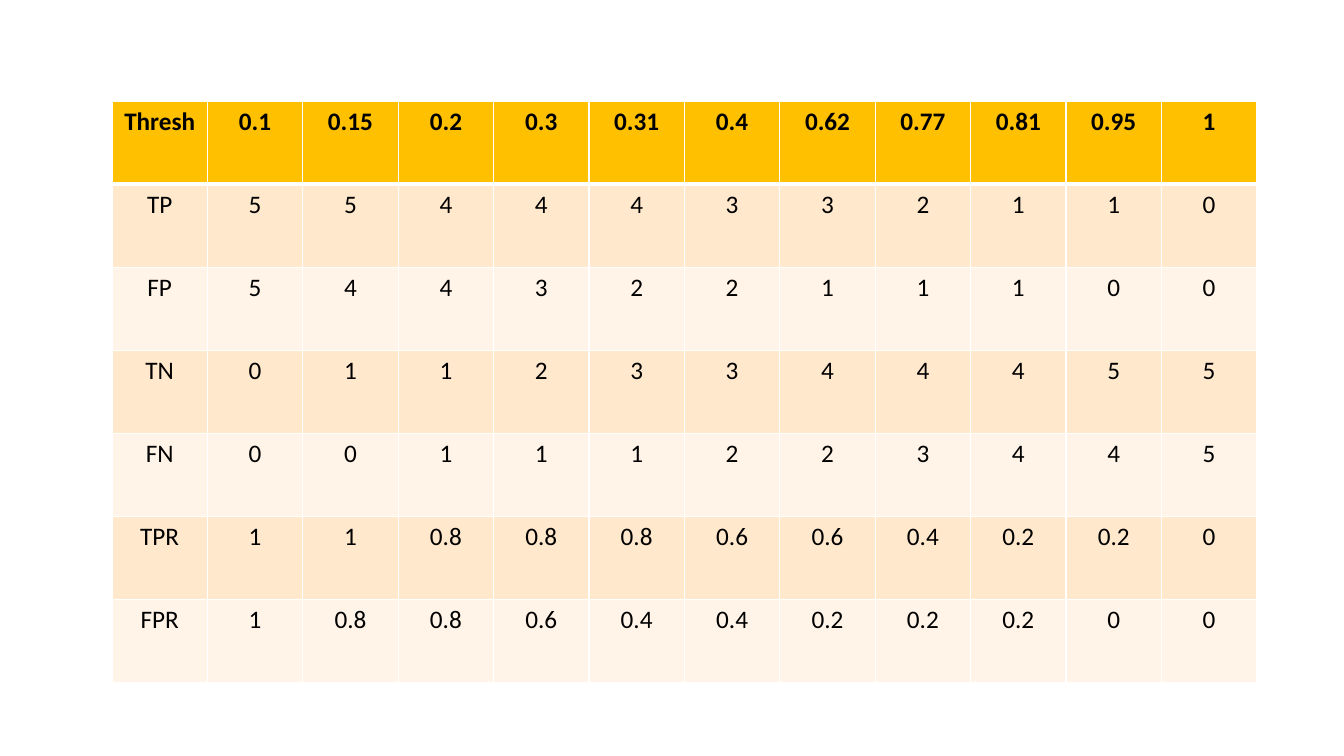
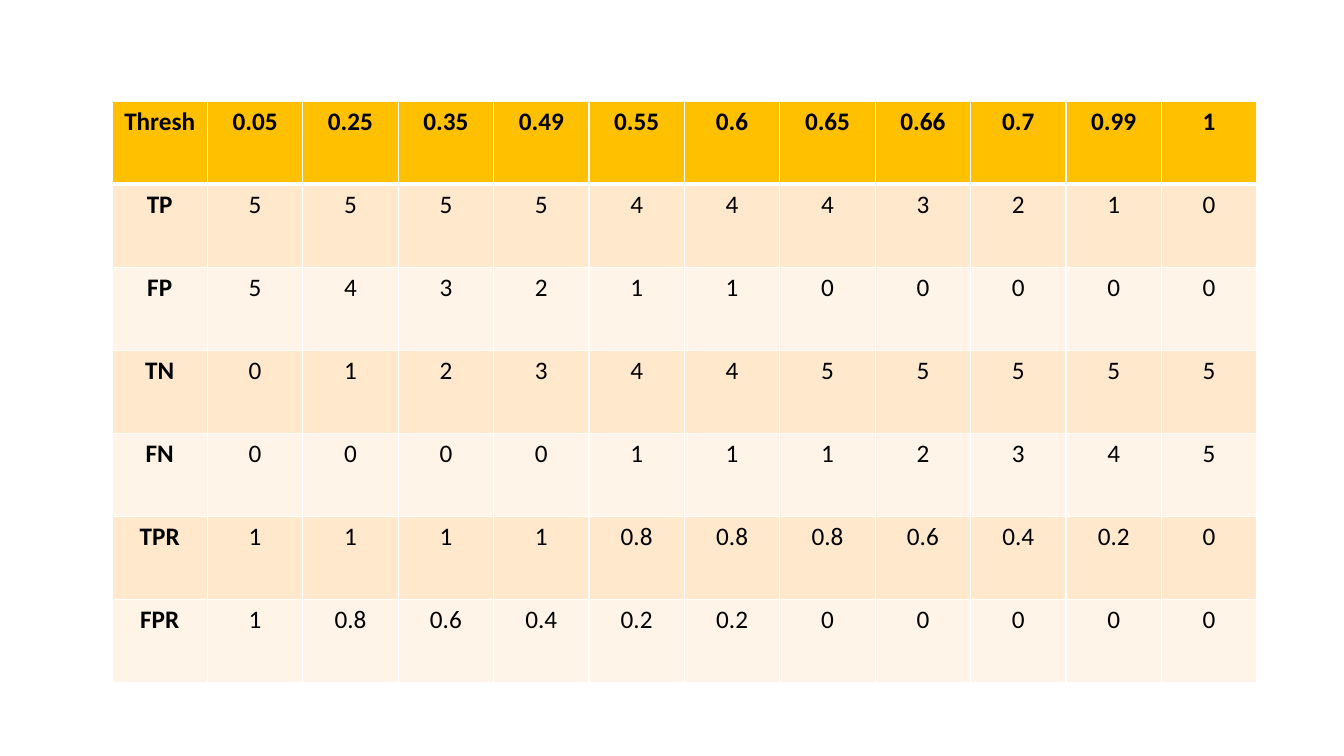
from lxml.etree import SubElement
from pptx import Presentation
from pptx.dml.color import RGBColor
from pptx.enum.text import PP_ALIGN
from pptx.oxml.ns import qn
from pptx.util import Pt

PIXEL = 914400 / 100.8
SLIDE_SIZE = (1344, 756)
TABLE_BOX = (112, 101, 1145, 582)

WHITE = RGBColor(0xFF, 0xFF, 0xFF)
BLACK = RGBColor(0x00, 0x00, 0x00)
AMBER = RGBColor(0xFF, 0xC0, 0x00)
PEACH = RGBColor(0xFF, 0xE8, 0xCC)
CREAM = RGBColor(0xFF, 0xF4, 0xE7)

FONT = "Calibri"
FONT_SIZE = Pt(18)
THIN = Pt(1)
THICK = Pt(3)

FIRST_MODEL = """
Thresh 0.1 0.15 0.2 0.3 0.31 0.4 0.62 0.77 0.81 0.95 1
TP 5 5 4 4 4 3 3 2 1 1 0
FP 5 4 4 3 2 2 1 1 1 0 0
TN 0 1 1 2 3 3 4 4 4 5 5
FN 0 0 1 1 1 2 2 3 4 4 5
TPR 1 1 0.8 0.8 0.8 0.6 0.6 0.4 0.2 0.2 0
FPR 1 0.8 0.8 0.6 0.4 0.4 0.2 0.2 0.2 0 0
"""

SECOND_MODEL = """
Thresh 0.05 0.25 0.35 0.49 0.55 0.6 0.65 0.66 0.7 0.99 1
TP 5 5 5 5 4 4 4 3 2 1 0
FP 5 4 3 2 1 1 0 0 0 0 0
TN 0 1 2 3 4 4 5 5 5 5 5
FN 0 0 0 0 1 1 1 2 3 4 5
TPR 1 1 1 1 0.8 0.8 0.8 0.6 0.4 0.2 0
FPR 1 0.8 0.6 0.4 0.2 0.2 0 0 0 0 0
"""


def px(length):
    return round(length * PIXEL)


def set_borders(cell, top, bottom):
    properties = cell._tc.get_or_add_tcPr()
    for side, width in (("L", THIN), ("R", THIN), ("T", top), ("B", bottom)):
        border = SubElement(properties, qn(f"a:ln{side}"), w=str(int(width)))
        line_fill = SubElement(border, qn("a:solidFill"))
        SubElement(line_fill, qn("a:srgbClr"), val=str(WHITE))


def fill_cell(cell, value, color, bold):
    cell.fill.solid()
    cell.fill.fore_color.rgb = color
    cell.text_frame.text = value
    paragraph = cell.text_frame.paragraphs[0]
    paragraph.alignment = PP_ALIGN.CENTER
    font = paragraph.runs[0].font
    font.name = FONT
    font.size = FONT_SIZE
    font.bold = bold
    font.color.rgb = BLACK


def row_color(row):
    if row == 0:
        return AMBER
    return PEACH if row % 2 else CREAM


def add_threshold_table(slide, results, bold_labels):
    rows = [line.split() for line in results.strip().splitlines()]
    frame = slide.shapes.add_table(len(rows), len(rows[0]), *map(px, TABLE_BOX))
    table = frame.table
    table.first_col = bold_labels
    for row, values in enumerate(rows):
        for column, value in enumerate(values):
            cell = table.cell(row, column)
            set_borders(cell, THICK if row == 1 else THIN, THICK if row == 0 else THIN)
            bold = row == 0 or (bold_labels and column == 0)
            fill_cell(cell, value, row_color(row), bold)


def main():
    presentation = Presentation()
    presentation.slide_width, presentation.slide_height = map(px, SLIDE_SIZE)
    blank = presentation.slide_layouts[6]
    for results, bold_labels in ((FIRST_MODEL, False), (SECOND_MODEL, True)):
        add_threshold_table(presentation.slides.add_slide(blank), results, bold_labels)
    presentation.save("out.pptx")


main()
